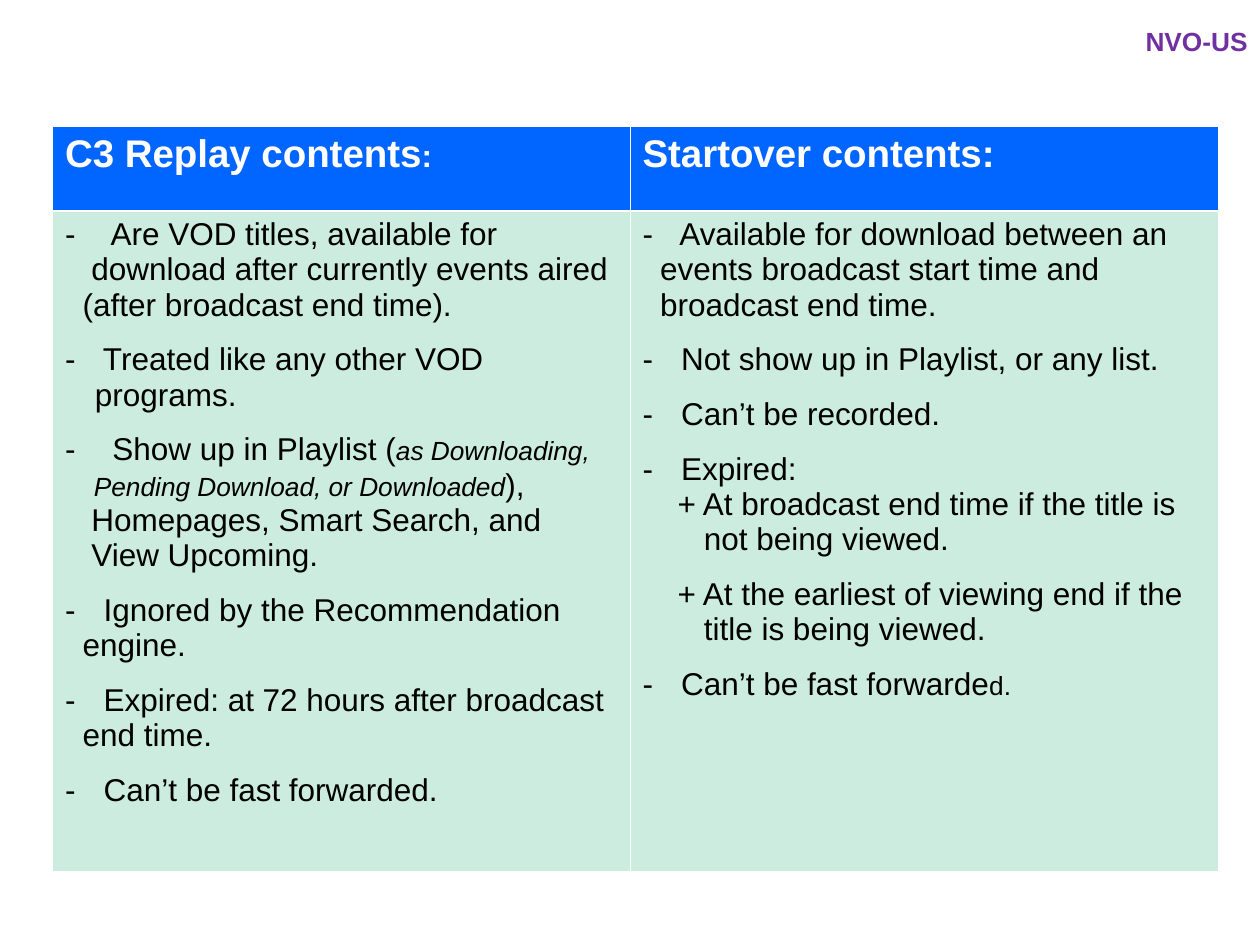
from lxml import etree
from pptx import Presentation
from pptx import util as u
from pptx.dml import color
from pptx.enum import text
from pptx.oxml import ns

INK, WHITE, PURPLE, BLUE, MINT = "000000", "FFFFFF", "7030A0", "0066FF", "CBECDE"
SMALL = {"size": u.Pt(15)}
SMALL_ITALIC = {"size": u.Pt(15), "italic": True}
GAP = 11.1


def rgb(value):
    return color.RGBColor.from_string(value)


def child(parent, tag, **attributes):
    return etree.SubElement(parent, ns.qn(tag), attributes)


class Slide:
    font = "Arial"

    def __init__(self, page):
        self.page = page

    def span(self, para, words, ink, **formats):
        span = para.add_run()
        span.text = words
        for name, value in {"name": self.font, "size": u.Pt(18), "bold": False, **formats}.items():
            setattr(span.font, name, value)
        span.font.color.rgb = rgb(ink)

    def label(self, words, left, top, width, height):
        box = self.page.shapes.add_textbox(u.Pt(left), u.Pt(top), u.Pt(width), u.Pt(height))
        frame = box.text_frame
        formats = {"word_wrap": True, "vertical_anchor": text.MSO_ANCHOR.BOTTOM,
                   "margin_bottom": u.Pt(21.5)}
        for name, value in formats.items():
            setattr(frame, name, value)
        para = frame.paragraphs[0]
        para.alignment = text.PP_ALIGN.RIGHT
        self.span(para, words, PURPLE, size=u.Pt(15), bold=True)

    def table(self, left, top, widths, heights):
        frame = self.page.shapes.add_table(len(heights), len(widths), u.Pt(left), u.Pt(top),
                                           u.Pt(sum(widths)), u.Pt(sum(heights)))
        table = frame.table
        table.horz_banding = False
        for column, width in zip(table.columns, widths):
            column.width = u.Pt(width)
        for row, height in zip(table.rows, heights):
            row.height = u.Pt(height)
        return table

    def cell(self, cell, fill, thick_side):
        properties = cell._tc.get_or_add_tcPr()
        for side in "LRTB":
            width = u.Pt(1.5 if side == thick_side else 0.5)
            line = child(properties, "a:ln" + side, w=str(width))
            child(child(line, "a:solidFill"), "a:srgbClr", val=WHITE)
        cell.fill.solid()
        cell.fill.fore_color.rgb = rgb(fill)

    def line(self, para, mark, indent, before, spans):
        """One line of a list; mark is the bullet character or empty."""
        para.space_before = u.Pt(before)
        properties = para._p.get_or_add_pPr()
        properties.set("marL", str(u.Pt(indent)))
        properties.set("indent", str(u.Pt(-indent if mark else 0)))
        if mark:
            child(child(properties, "a:buClr"), "a:srgbClr", val=INK)
            child(properties, "a:buFont", typeface=self.font)
            child(properties, "a:buChar", char=mark)
        for words, formats in spans:
            self.span(para, words, INK, **formats)

    def lines(self, cell, rows):
        frame = cell.text_frame
        for number, (mark, indent, before, *spans) in enumerate(rows):
            para = frame.add_paragraph() if number else frame.paragraphs[0]
            spans = [(item, {}) if isinstance(item, str) else item for item in spans]
            self.line(para, mark, indent, before, spans)


# Each line: bullet, indent, space before, then plain or formatted text
REPLAY = [
    ("-", 26, 0, "Are VOD titles, available for"),
    ("", 15, 0, "download after currently events aired"),
    ("", 10, 0, "(after broadcast end time)."),
    ("-", 17, GAP, " Treated like any other VOD programs."),
    ("-", 27, GAP, "Show up in Playlist (", ("as Downloading,", SMALL_ITALIC)),
    ("", 16.5, 0, ("Pending Download, or Downloaded", SMALL_ITALIC), "),"),
    ("", 15, 0, "Homepages, Smart Search, and"),
    ("", 15, 0, "View Upcoming."),
    ("-", 22, GAP, "Ignored by the Recommendation"),
    ("", 10, 0, "engine."),
    ("-", 22, GAP, "Expired: at 72 hours after broadcast"),
    ("", 10, 0, "end time."),
    ("-", 22, GAP, "Can’t be fast forwarded."),
]
STARTOVER = [
    ("-", 21, 0, "Available for download between an"),
    ("", 10, 0, "events broadcast start time and"),
    ("", 10, 0, "broadcast end time."),
    ("-", 22, GAP, "Not show up in Playlist, or any list."),
    ("-", 22, GAP, "Can’t be recorded."),
    ("-", 22, GAP, "Expired:"),
    ("", 20, 0, "+ At broadcast end time if the title is"),
    ("", 35, 0, "not being viewed."),
    ("", 20, GAP, "+ At the earliest of viewing end if the"),
    ("", 35, 0, "title is being viewed."),
    ("-", 22, GAP, "Can’t be fast forwarde", ("d.", SMALL)),
]
COLUMNS = [
    ([("C3 Replay contents", 22), (":", 18)], REPLAY),
    ([("Startover contents:", 22)], STARTOVER),
]


def main():
    deck = Presentation()
    deck.slide_width, deck.slide_height = u.Pt(720), u.Pt(540)
    slide = Slide(deck.slides.add_slide(deck.slide_layouts[6]))

    # Corner label
    slide.label("NVO-US", 618, 0, 102, 54)

    # Comparison table
    table = slide.table(30, 72, [330, 336], [48.5, 377.5])
    for number, (heading, rows) in enumerate(COLUMNS):
        head, body = table.cell(0, number), table.cell(1, number)
        slide.cell(head, BLUE, "B")
        for words, size in heading:
            slide.span(head.text_frame.paragraphs[0], words, WHITE, size=u.Pt(size), bold=True)
        slide.cell(body, MINT, "T")
        slide.lines(body, rows)

    deck.save("out.pptx")


if __name__ == "__main__":
    main()
